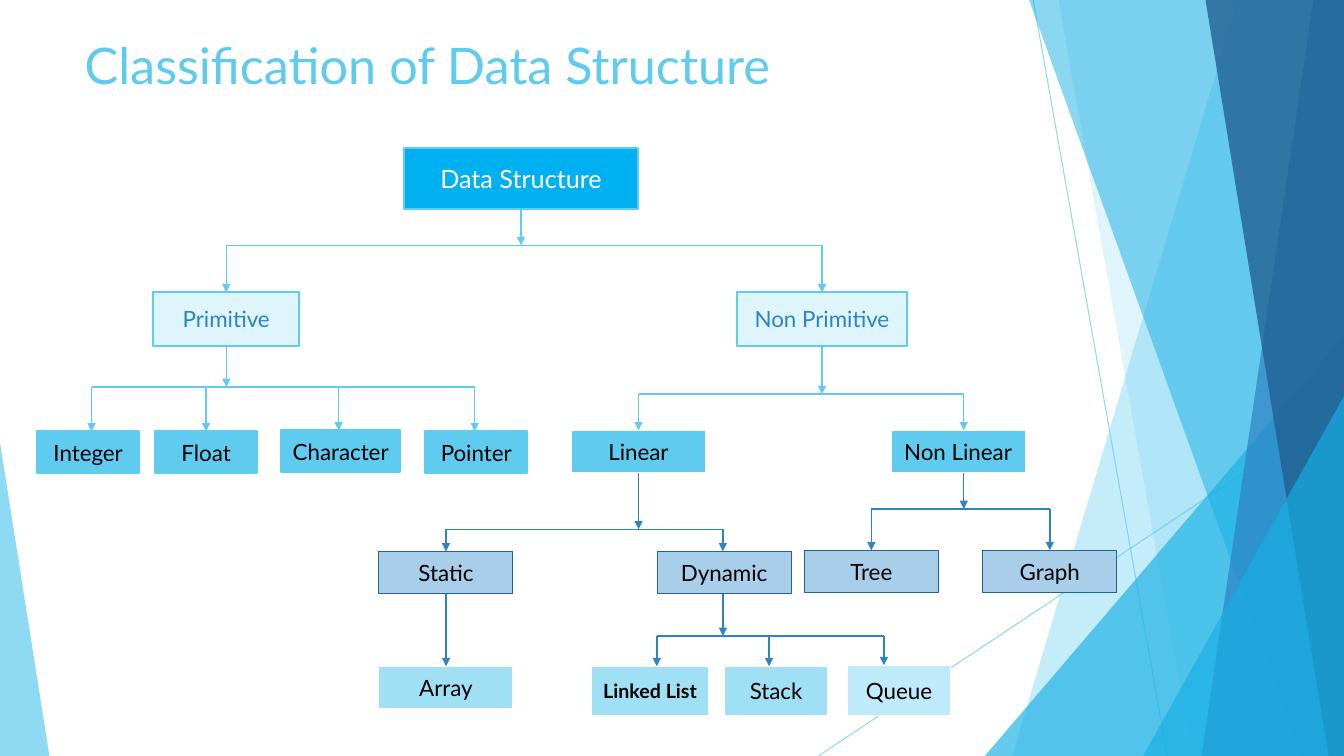
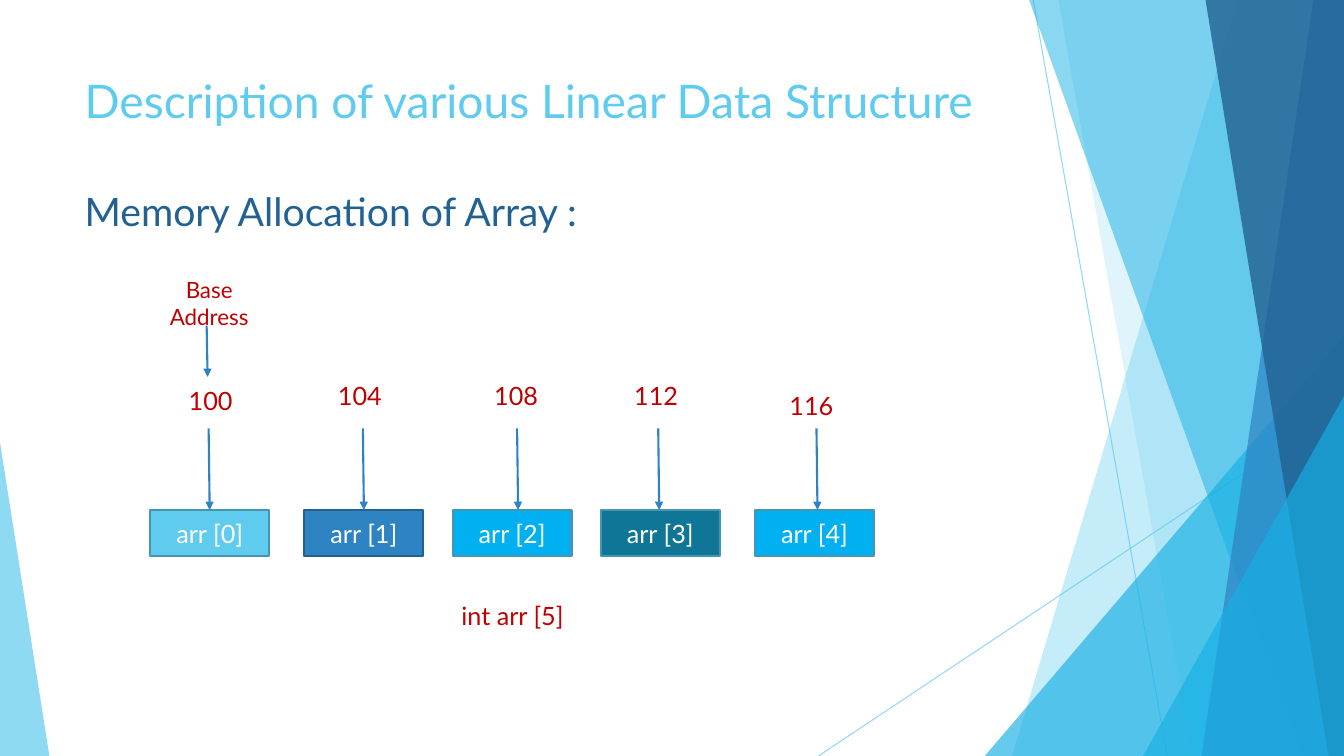
from dataclasses import dataclass

from lxml import etree
from pptx import Presentation
from pptx.dml.color import RGBColor
from pptx.enum.shapes import MSO_CONNECTOR, MSO_SHAPE
from pptx.enum.text import MSO_ANCHOR, MSO_AUTO_SIZE, PP_ALIGN
from pptx.oxml.ns import qn
from pptx.util import Inches, Pt

RECT, TRIANGLE = MSO_SHAPE.RECTANGLE, MSO_SHAPE.ISOSCELES_TRIANGLE
STRAIGHT = MSO_CONNECTOR.STRAIGHT
TOP, MIDDLE = MSO_ANCHOR.TOP, MSO_ANCHOR.MIDDLE
LEFT, CENTER = PP_ALIGN.LEFT, PP_ALIGN.CENTER
NO_FIT = MSO_AUTO_SIZE.NONE

# The grid has square cells, three to the inch.
CELL = Inches(1) // 3
COLS, ROWS = 40, 22.5
FONT = "Lato"
TITLE_LAYOUT, BODY_LAYOUT = 5, 1
TEXT_X, TEXT_W = 2.22, 28.2

COLORS = {
    "sky": "5FCBEF", "aqua": "17B0E4", "blue": "2E83C3", "navy": "226292",
    "edge": "226190", "bright": "00B0F0", "teal": "0F7698", "rim": "4696B1",
    "ice": "DFF5FC", "mist": "A8CEEA", "pale": "9FE0F5", "paler": "BFEAF9",
    "red": "C00000", "white": "FFFFFF", "black": "000000",
}


@dataclass(frozen=True)
class Band:
    """A slanted band that reaches the right edge of the slide."""
    top: float
    bottom: float
    color: str
    alpha: int


@dataclass(frozen=True)
class Corner:
    """A right triangle standing on the bottom edge."""
    x: float
    y: float
    w: float
    apex: float
    color: str
    alpha: int


@dataclass(frozen=True)
class Look:
    """Fill, outline and text of a box."""
    fill: str
    line: str
    width: float
    ink: str = "black"
    size: int = 16
    bold: bool = False


@dataclass(frozen=True)
class Node:
    """A labelled box; port shifts its arrows off the centre."""
    text: str
    x: float
    y: float
    w: float
    h: float
    look: Look
    port: float = 0

    @property
    def mid(self) -> float:
        """Column where arrows meet the box."""
        return self.x + self.w / 2 + self.port


@dataclass(frozen=True)
class Branch:
    """A parent, the row of its crossbar and its children."""
    parent: str
    bar: float
    children: tuple
    color: str


@dataclass(frozen=True)
class Slot:
    """An array element with its address label and arrow."""
    x: float
    fill: str
    line: str
    label_x: float
    label_y: float
    arrow_x: float


ART = (
    Band(36.84, 30.12, "sky", 36),
    Band(31.5, 35.49, "sky", 20),
    Corner(29.31, 9.99, 10.69, 1, "aqua", 66),
    Band(30.63, 38.73, "aqua", 50),
    Band(39.09, 35.76, "blue", 70),
    Band(35.88, 39.54, "navy", 80),
    Corner(34.02, 11.79, 5.98, 1, "aqua", 66),
    Corner(0, 13.17, 1.47, 0, "sky", 70),
)
ART_LINES = ((30.75, 0, 34.74, ROWS), (COLS, 12.09, 24.36, ROWS))

ROOT = Look("bright", "sky", 1.5, "white", 18)
KIND = Look("ice", "sky", 1.5, "blue")
TYPE = Look("sky", "sky", 1.5)
GROUP = Look("sky", "white", 0)
FAMILY = Look("mist", "edge", 0)
LEAF = Look("pale", "white", 0)
LEAF_BOLD = Look("pale", "white", 0, size=14, bold=True)
LEAF_LIGHT = Look("paler", "white", 0)

NODES = (
    Node("Data Structure", 12.03, 4.41, 6.96, 1.8, ROOT),
    Node("Primitive", 4.56, 8.7, 4.35, 1.59, KIND),
    Node("Non Primitive", 21.93, 8.7, 5.07, 1.59, KIND),
    Node("Integer", 1.11, 12.84, 3.03, 1.23, TYPE, 0.1),
    Node("Float", 4.62, 12.84, 3.03, 1.23, TYPE),
    Node("Character", 8.37, 12.81, 3.54, 1.23, TYPE, -0.06),
    Node("Pointer", 12.66, 12.84, 3.03, 1.23, TYPE, -0.05),
    Node("Linear", 17.01, 12.81, 3.99, 1.26, GROUP),
    Node("Non Linear", 26.52, 12.81, 3.99, 1.26, GROUP, 0.17),
    Node("Static", 11.28, 16.41, 3.99, 1.26, FAMILY),
    Node("Dynamic", 19.56, 16.41, 3.99, 1.26, FAMILY, -0.04),
    Node("Tree", 23.94, 16.38, 3.99, 1.26, FAMILY),
    Node("Graph", 29.25, 16.38, 3.99, 1.26, FAMILY),
    Node("Array", 11.28, 19.83, 3.99, 1.26, LEAF),
    Node("Linked List", 17.61, 19.83, 3.48, 1.47, LEAF_BOLD, 0.2),
    Node("Stack", 21.57, 19.83, 3.06, 1.47, LEAF, -0.21),
    Node("Queue", 25.23, 19.8, 3.06, 1.5, LEAF_LIGHT, -0.45),
)
BRANCHES = (
    Branch("Data Structure", 7.3, ("Primitive", "Non Primitive"), "sky"),
    Branch("Primitive", 11.52,
           ("Integer", "Float", "Character", "Pointer"), "sky"),
    Branch("Non Primitive", 11.73, ("Linear", "Non Linear"), "sky"),
    Branch("Linear", 15.75, ("Static", "Dynamic"), "blue"),
    Branch("Non Linear", 15.15, ("Tree", "Graph"), "blue"),
    Branch("Dynamic", 18.93, ("Linked List", "Stack", "Queue"), "blue"),
)

SLOT_Y, SLOT_W, SLOT_H = 15.18, 3.54, 1.38
LABEL_W, ARROW_Y = 3.78, 12.75
FIRST_ADDRESS, INT_BYTES = 100, 4
SLOTS = (
    Slot(4.47, "sky", "rim", 4.38, 11.22, 6.21),
    Slot(9.06, "blue", "edge", 8.82, 11.07, 10.8),
    Slot(13.47, "bright", "rim", 13.47, 11.07, 15.39),
    Slot(17.88, "teal", "rim", 17.64, 11.07, 19.59),
    Slot(22.47, "bright", "rim", 22.26, 11.37, 24.3),
)


def grid(*cells: float) -> list:
    """Turn grid cells into slide lengths."""
    return [round(c * CELL) for c in cells]


def rgb(name: str) -> RGBColor:
    """Look up a named colour."""
    return RGBColor.from_string(COLORS[name])


def fade(sp, alpha: int) -> None:
    """Make the explicit colours of a shape see-through."""
    for clr in sp.element.iter(qn("a:srgbClr")):
        etree.SubElement(clr, qn("a:alpha")).set("val", str(alpha * 1000))


def write(sp, text: str, size: float, ink: str, align=CENTER,
          anchor=MIDDLE, bold: bool = False) -> None:
    """Set and format the single paragraph of a shape."""
    tf = sp.text_frame
    tf.word_wrap, tf.auto_size, tf.vertical_anchor = True, NO_FIT, anchor
    tf.text = text
    p = tf.paragraphs[0]
    p.alignment = align
    font = p.runs[0].font
    font.name, font.size, font.bold = FONT, Pt(size), bold
    font.color.rgb = rgb(ink)


def line(shapes, x1: float, y1: float, x2: float, y2: float, color: str,
         width: float = 1, arrow: bool = True):
    """Draw a straight line, by default with an arrowhead at its end."""
    c = shapes.add_connector(STRAIGHT, *grid(x1, y1, x2, y2))
    c.line.color.rgb, c.line.width = rgb(color), Pt(width)
    sp_pr = c.element.find(qn("p:spPr"))
    if arrow:
        tail = etree.SubElement(sp_pr.find(qn("a:ln")), qn("a:tailEnd"))
        tail.set("type", "triangle")
    etree.SubElement(sp_pr, qn("a:effectLst"))
    return c


def box(shapes, node: Node) -> None:
    """Draw a labelled rectangle."""
    look = node.look
    sp = shapes.add_shape(RECT, *grid(node.x, node.y, node.w, node.h))
    sp.shadow.inherit = False
    sp.fill.solid()
    sp.fill.fore_color.rgb = rgb(look.fill)
    sp.line.color.rgb, sp.line.width = rgb(look.line), Pt(look.width)
    write(sp, node.text, look.size, look.ink, bold=look.bold)


def label(shapes, text: str, x: float, y: float, w: float,
          size: int = 18) -> None:
    """Draw a centred red caption."""
    sp = shapes.add_textbox(*grid(x, y, w, SLOT_H))
    write(sp, text, size, "red")


def place(sp, x: float, y: float, w: float, h: float) -> None:
    """Move a placeholder to a place on the grid."""
    sp.left, sp.top, sp.width, sp.height = grid(x, y, w, h)


def new_slide(prs, layout: int, title: str, y: float, h: float, size: int):
    """Add a slide with the shared title style."""
    s = prs.slides.add_slide(prs.slide_layouts[layout])
    place(s.shapes.title, TEXT_X, y, TEXT_W, h)
    write(s.shapes.title, title, size, "sky", LEFT, TOP)
    return s


def draw_facet(shapes, facet) -> None:
    """Draw one see-through band or corner."""
    if isinstance(facet, Band):
        builder = shapes.build_freeform(*grid(facet.top, 0), scale=1.0)
        corners = ((COLS, 0), (COLS, ROWS), (facet.bottom, ROWS))
        builder.add_line_segments([grid(*c) for c in corners], close=True)
        sp = builder.convert_to_shape()
    else:
        sp = shapes.add_shape(
            TRIANGLE, *grid(facet.x, facet.y, facet.w, ROWS - facet.y))
        sp.adjustments[0] = facet.apex
    sp.shadow.inherit = False
    sp.fill.solid()
    sp.fill.fore_color.rgb = rgb(facet.color)
    sp.line.fill.background()
    fade(sp, facet.alpha)


def add_backdrop(prs, s) -> None:
    """Build the shared art on a slide and move it to the master."""
    group = s.shapes.add_group_shape()
    for ends in ART_LINES:
        fade(line(group.shapes, *ends, "sky", 0.75, arrow=False), 70)
    for facet in ART:
        draw_facet(group.shapes, facet)
    for i, props in enumerate(group.element.iter(qn("p:cNvPr"))):
        props.set("id", str(100 + i))
    prs.slide_master.shapes.element.append(group.element)


def draw_branch(shapes, branch: Branch, nodes: dict) -> None:
    """Connect a parent to its children by a crossbar."""
    parent = nodes[branch.parent]
    kids = [nodes[name] for name in branch.children]
    bar, color = branch.bar, branch.color
    line(shapes, parent.mid, parent.y + parent.h, parent.mid, bar, color)
    line(shapes, kids[0].mid, bar, kids[-1].mid, bar, color, arrow=False)
    for kid in kids:
        line(shapes, kid.mid, bar, kid.mid, kid.y, color)


def draw_tree(shapes) -> None:
    """Draw the classification tree."""
    nodes = {node.text: node for node in NODES}
    for branch in BRANCHES:
        draw_branch(shapes, branch, nodes)
    static, array = nodes["Static"], nodes["Array"]
    line(shapes, static.mid, static.y + static.h, array.mid, array.y, "blue")
    for node in NODES:
        box(shapes, node)


def draw_memory(shapes) -> None:
    """Draw the array elements with their addresses."""
    for i, slot in enumerate(SLOTS):
        look = Look(slot.fill, slot.line, 1.5, "white", 18)
        box(shapes, Node(f"arr [{i}]", slot.x, SLOT_Y, SLOT_W, SLOT_H, look))
        label(shapes, str(FIRST_ADDRESS + i * INT_BYTES),
              slot.label_x, slot.label_y, LABEL_W)
        line(shapes, slot.arrow_x, ARROW_Y, slot.arrow_x + 0.03, SLOT_Y,
             "blue", 1.5)
    label(shapes, "Base Address", 3.99, 8.34, 4.47, 16)
    line(shapes, 6.15, 9.69, 6.18, 11.22, "blue", 1.5)
    label(shapes, "int arr [5]", 12.75, 17.64, 5.01)


def main() -> None:
    """Build and save both slides."""
    prs = Presentation()
    prs.slide_width, prs.slide_height = grid(COLS, ROWS)

    s = new_slide(prs, TITLE_LAYOUT, "Classification of Data Structure",
                  0.87, 2.82, 36)
    add_backdrop(prs, s)
    draw_tree(s.shapes)

    s = new_slide(prs, BODY_LAYOUT,
                  "Description of various Linear Data Structure", 2, 3.06, 33)
    body = s.placeholders[1]
    place(body, TEXT_X, 5.43, TEXT_W, 14.67)
    write(body, "Memory Allocation of Array :", 28, "navy", LEFT, TOP)
    p = body.text_frame.paragraphs[0]
    p.space_before = Pt(10)
    p_pr = p.runs[0].font and p._p.get_or_add_pPr()
    p_pr.set("marL", "0")
    p_pr.set("indent", "0")
    etree.SubElement(p_pr, qn("a:buNone"))
    draw_memory(s.shapes)

    prs.save("out.pptx")


main()
